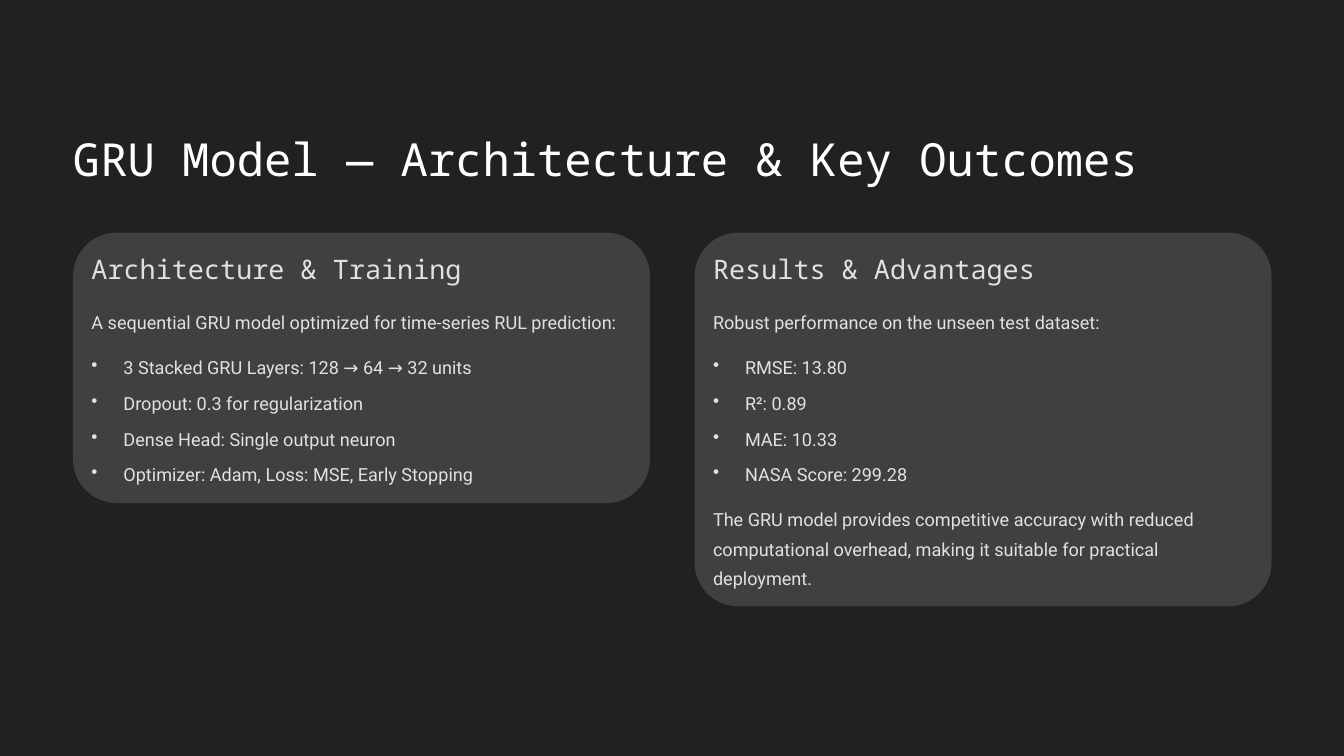
from pptx import Presentation
from pptx.dml.color import RGBColor
from pptx.enum.shapes import MSO_SHAPE
from pptx.util import Pt
from lxml.etree import SubElement
from pptx.oxml.ns import qn


def color(code):
    return RGBColor.from_string(code)


class Deck:
    MONO, SANS = "Noto Sans Mono", "Roboto"
    BACK, CARD, WHITE, PALE = "212121", "404040", "FFFFFF", "E5E0DF"
    INDENT = 27.4

    def __init__(self):
        self.prs = Presentation()
        self.prs.slide_width, self.prs.slide_height = Pt(1152), Pt(648)
        self.slide = self.prs.slides.add_slide(self.prs.slide_layouts[6])
        fill = self.slide.background.fill
        fill.solid()
        fill.fore_color.rgb = color(self.BACK)

    def card(self, left, top, width, height, radius):
        box = self.slide.shapes.add_shape(
            MSO_SHAPE.ROUNDED_RECTANGLE, Pt(left), Pt(top), Pt(width), Pt(height))
        box.adjustments[0] = radius / height
        box.shadow.inherit = False
        box.fill.solid()
        box.fill.fore_color.rgb = color(self.CARD)
        box.line.fill.background()

    def bullet(self, par):
        props = par._p.get_or_add_pPr()
        props.set("marL", str(Pt(self.INDENT)))
        props.set("indent", str(-Pt(self.INDENT)))
        SubElement(props, qn("a:buChar")).set("char", "•")

    def text(self, lines, left, top, width, height, size=15.5, font=SANS,
             ink=PALE, pitch=25, gap=0, bullets=False):
        """Place one paragraph per line; pitch is the line height."""
        box = self.slide.shapes.add_textbox(Pt(left), Pt(top), Pt(width), Pt(height))
        frame = box.text_frame
        frame.word_wrap = True
        frame.margin_left = frame.margin_right = 0
        frame.margin_top = frame.margin_bottom = 0
        for i, line in enumerate(lines):
            par = frame.paragraphs[0] if i == 0 else frame.add_paragraph()
            par.line_spacing = Pt(pitch)
            if i:
                par.space_before = Pt(gap)
            if bullets:
                self.bullet(par)
            run = par.add_run()
            run.text = line
            run.font.size, run.font.name = Pt(size), font
            run.font.color.rgb = color(ink)


LEFT, TOP, WIDTH, STEP, PAD = 62.6, 199.4, 494.6, 532.8, 15.8
CARDS = [
    (231.8, "Architecture & Training",
     "A sequential GRU model optimized for time-series RUL prediction:",
     ["3 Stacked GRU Layers: 128 → 64 → 32 units",
      "Dropout: 0.3 for regularization",
      "Dense Head: Single output neuron",
      "Optimizer: Adam, Loss: MSE, Early Stopping"], None),
    (320.4, "Results & Advantages",
     "Robust performance on the unseen test dataset:",
     ["RMSE: 13.80", "R²: 0.89", "MAE: 10.33", "NASA Score: 299.28"],
     "The GRU model provides competitive accuracy with reduced computational "
     "overhead, making it suitable for practical deployment."),
]


def main():
    deck = Deck()
    deck.text(["GRU Model — Architecture & Key Outcomes"], LEFT, 110.2, 1027, 49,
              size=39, font=deck.MONO, ink=deck.WHITE, pitch=48.5)
    for i, (height, head, lead, items, close) in enumerate(CARDS):
        left = LEFT + i * STEP
        deck.card(left, TOP, WIDTH, height, 37.5)
        left, wide = left + PAD, WIDTH - 2 * PAD
        deck.text([head], left, TOP + PAD, wide, 29.5,
                  size=23, font=deck.MONO, pitch=29)
        deck.text([lead], left, 260.6, wide, 25)
        deck.text(items, left, 299.5, wide, 116.5, gap=5.5, bullets=True)
        if close:
            deck.text([close], left, 429.8, wide, 75)
    deck.prs.save("out.pptx")


if __name__ == "__main__":
    main()
